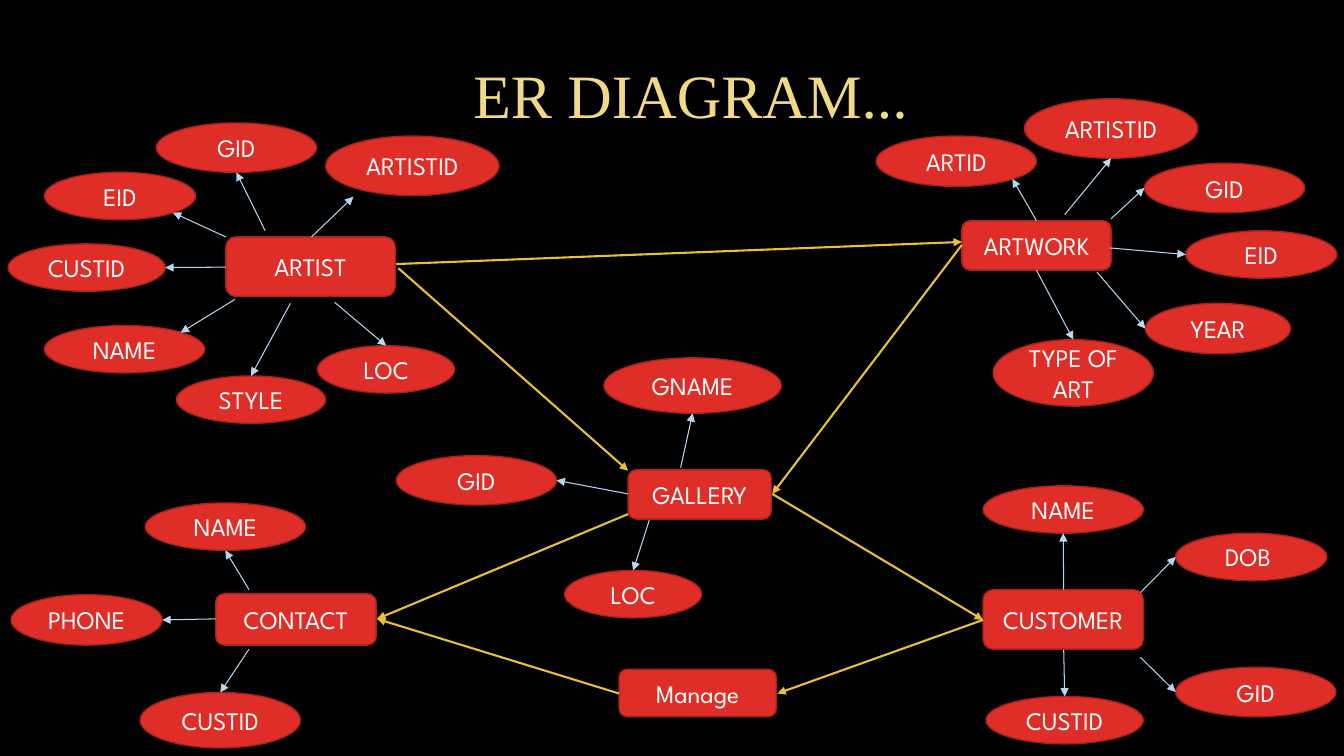
from pptx import Presentation
from pptx.dml.color import RGBColor
from pptx.enum.shapes import MSO_CONNECTOR, MSO_SHAPE
from pptx.enum.text import MSO_ANCHOR, PP_ALIGN
from pptx.oxml.ns import qn
from pptx.util import Pt
from lxml import etree

PX = 9144
BOX = MSO_SHAPE.FLOWCHART_ALTERNATE_PROCESS
OVAL = MSO_SHAPE.OVAL
LINE = MSO_CONNECTOR.STRAIGHT
MID = MSO_ANCHOR.MIDDLE
CENTER, RIGHT = PP_ALIGN.CENTER, PP_ALIGN.RIGHT

HUES = {"back": "000000", "title": "F2D986", "node": "DF2E28", "edge": "A5221E",
        "text": "FFFFFF", "field": "B7D7F1", "flow": "E9BF35"}
TITLE = {"name": "Times New Roman", "size": Pt(44), "bold": False}
LABEL = {"name": "League Spartan", "size": Pt(18)}

SITES = {"top": (0.5, 0), "bottom": (0.5, 1), "left": (0, 0.5), "right": (1, 0.5),
         "upper right": (0.85, 0.15), "lower right": (0.85, 0.85), "under": (0.16, 1.02)}

# Each field: label, box offset from its entity, arrow start offset, site of the arrow tip
ENTITIES = [
    ("ARTIST", (224, 235, 168, 59), [
        ("GID", (-69, -113, 159, 49), (39, -6), "bottom"),
        ("ARTISTID", (99, -100, 172, 59), (85, 0), "under"),
        ("EID", (-180, -64, 150, 47), (0, 0), "lower right"),
        ("CUSTID", (-216, 7, 156, 47), (0, 30), "right"),
        ("NAME", (-180, 88, 159, 47), (9, 62), "upper right"),
        ("STYLE", (-49, 138, 148, 47), (64, 66), "top"),
        ("LOC", (91, 108, 136, 47), (108, 65), "top")]),
    ("ARTWORK", (954, 219, 148, 49), [
        ("ARTISTID", (62, -121, 172, 59), (102, -6), "bottom"),
        ("ARTID", (-85, -84, 159, 50), (74, 0), "lower right"),
        ("GID", (181, -57, 159, 49), (148, -2), "left"),
        ("EID", (222, 10, 150, 47), (147, 27), "left"),
        ("YEAR", (182, 82, 144, 50), (134, 51), "left"),
        ("TYPE OF ART", (31, 118, 159, 66), (74, 49), "top")]),
    ("GALLERY", (623, 466, 142, 49), [
        ("GID", (-230, -14, 159, 49), (0, 24), "right"),
        ("GNAME", (-24, -111, 176, 55), (52, -2), "bottom"),
        ("LOC", (-63, 100, 136, 47), (21, 50), "top")]),
    ("CONTACT", (214, 589, 159, 51), [
        ("NAME", (-70, -90, 159, 47), (33, -4), "bottom"),
        ("PHONE", (-203, 1, 150, 50), (0, 25), "right"),
        ("CUSTID", (-75, 98, 159, 55), (33, 55), "top")]),
    ("CUSTOMER", (975, 585, 159, 59), [
        ("NAME", (0, -103, 159, 47), (80, 0), "bottom"),
        ("DOB ", (191, -56, 150, 47), (156, 3), "left"),
        ("GID", (191, 77, 159, 49), (156, 67), "left"),
        ("CUSTID", (3, 106, 156, 47), (80, 60), "top")]),
    ("Manage", (614, 664, 156, 47), []),
]
FLOWS = [
    ((393, 262), (954, 240)), ((954, 243), (766, 490)), ((395, 266), (623, 467)),
    ((766, 490), (975, 615)), ((975, 615), (771, 688)), ((614, 688), (374, 614)),
    ((623, 510), (374, 614)),
]


def emu(nums):
    return [round(n * PX) for n in nums]


def hue(name):
    return RGBColor.from_string(HUES[name])


def style(font, form, color):
    for key, value in form.items():
        setattr(font, key, value)
    font.color.rgb = hue(color)


def node(slide, kind, text, box):
    shape = slide.shapes.add_shape(kind, *emu(box))
    shape.shadow.inherit = False
    shape.fill.solid()
    shape.fill.fore_color.rgb = hue("node")
    shape.line.color.rgb = hue("edge")
    shape.line.width = Pt(1)
    frame = shape.text_frame
    frame.word_wrap = True
    frame.vertical_anchor = MID
    para = frame.paragraphs[0]
    para.alignment = CENTER
    run = para.add_run()
    run.text = text
    style(run.font, LABEL, "text")


def arrow(slide, start, end, color, width):
    link = slide.shapes.add_connector(LINE, *emu(start), *emu(end))
    link.line.color.rgb = hue(color)
    link.line.width = Pt(width)
    props = link.element.spPr
    etree.SubElement(props.find(qn("a:ln")), qn("a:tailEnd"), type="triangle")
    etree.SubElement(props, qn("a:effectLst"))


def entity(slide, name, box, fields):
    left, top = box[:2]
    node(slide, BOX, name, box)
    for text, (dx, dy, wide, high), (sx, sy), site in fields:
        x, y = left + dx, top + dy
        fx, fy = SITES[site]
        node(slide, OVAL, text, (x, y, wide, high))
        arrow(slide, (left + sx, top + sy), (x + fx * wide, y + fy * high), "field", 0.75)


def heading(slide, text, box):
    title = slide.shapes.title
    title.left, title.top, title.width, title.height = emu(box)
    frame = title.text_frame
    frame.vertical_anchor = MID
    para = frame.paragraphs[0]
    para.alignment = RIGHT
    para.line_spacing = 0.9
    run = para.add_run()
    run.text = text
    style(run.font, TITLE, "title")


def main():
    deck = Presentation()
    deck.slide_width, deck.slide_height = emu((1333, 750))
    slide = deck.slides.add_slide(deck.slide_layouts[5])
    slide.background.fill.solid()
    slide.background.fill.fore_color.rgb = hue("back")
    heading(slide, "ER DIAGRAM...", (-31, 27, 942, 141))
    for name, box, fields in ENTITIES:
        entity(slide, name, box, fields)
    for start, end in FLOWS:
        arrow(slide, start, end, "flow", 1.5)
    deck.save("out.pptx")


if __name__ == "__main__":
    main()
